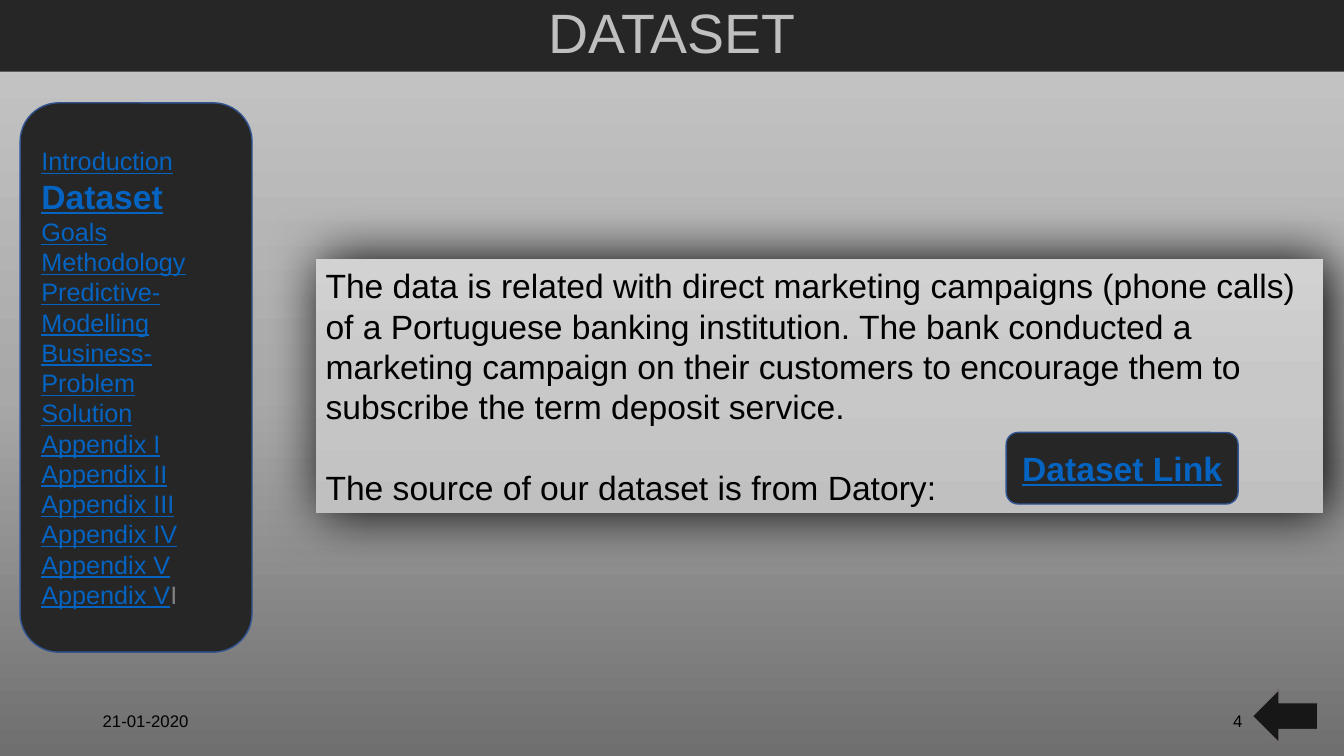
from copy import deepcopy

from lxml import etree
from pptx import Presentation
from pptx.dml.color import RGBColor
from pptx.enum.shapes import MSO_SHAPE
from pptx.enum.text import MSO_ANCHOR, PP_ALIGN
from pptx.oxml.ns import qn
from pptx.util import Inches, Pt

RECT, ROUND = MSO_SHAPE.RECTANGLE, MSO_SHAPE.ROUNDED_RECTANGLE
PANEL, ARROW = MSO_SHAPE.FLOWCHART_ALTERNATE_PROCESS, MSO_SHAPE.LEFT_ARROW
MIDDLE = MSO_ANCHOR.MIDDLE
LEFT, CENTER, RIGHT = PP_ALIGN.LEFT, PP_ALIGN.CENTER, PP_ALIGN.RIGHT

COLORS = {
    "dark": "262626", "title": "BFBFBF", "black": "000000", "link": "0563C1",
    "muted": "808080", "edge": "325491", "arrow": "181717", "rim": "767171",
}
PAGE_STOPS = [(0, "6F6F6F"), (0.48, "A8A8A8"), (1, "C9C9C9")]
BOX_STOPS = [(0, "D2D2D2"), (0.5, "C8C8C8"), (1, "C0C0C0")]

LINK = {"size": Pt(18), "color": "link", "underline": True}
BOLD = {**LINK, "size": Pt(24), "bold": True}
BODY = {"size": Pt(24), "color": "black"}
SMALL = {"size": Pt(12), "color": "black"}

MENU = ["Introduction", "Dataset", "Goals", "Methodology",
        "Predictive-Modelling", "Business-Problem", "Solution",
        "Appendix I", "Appendix II", "Appendix III", "Appendix IV",
        "Appendix V"]
ABOUT = ("The data is related with direct marketing campaigns (phone calls) "
         "of a Portuguese banking institution. The bank conducted a marketing "
         "campaign on their customers to encourage them to subscribe the term "
         "deposit service.")
SOURCE = "The source of our dataset is from Datory:"


def rgb(name):
    return RGBColor.from_string(COLORS[name])


def add_grad(fill, owner, stops, angle):
    """Fill with a three-stop gradient, angle counted anticlockwise."""
    fill.gradient()
    fill.gradient_angle = angle
    items = owner.find(".//" + qn("a:gsLst"))
    items.append(deepcopy(items[0]))
    for stop, (place, color) in zip(fill.gradient_stops, stops):
        stop.position = place
        stop.color.rgb = RGBColor.from_string(color)


def add_glow(shape, blur, dist):
    """Add a soft black outer shadow."""
    effects = shape.element.spPr.find(qn("a:effectLst"))
    shadow = etree.SubElement(effects, qn("a:outerShdw"), blurRad=str(Pt(blur)),
                              dist=str(Pt(dist)), dir="0", algn="ctr", rotWithShape="0")
    etree.SubElement(shadow, qn("a:srgbClr"), val=COLORS["black"])


def add_block(slide, kind, box, fill=None, line=None):
    shape = slide.shapes.add_shape(kind, *map(Inches, box))
    shape.shadow.inherit = False
    if fill:
        shape.fill.solid()
        shape.fill.fore_color.rgb = rgb(fill)
    if line:
        shape.line.color.rgb = rgb(line)
        shape.line.width = Pt(1)
    else:
        shape.line.fill.background()
    return shape


def add_run(para, text, style):
    run = para.add_run()
    run.text = text
    run.font.name = "Arial"
    for key, value in style.items():
        if key == "color":
            run.font.color.rgb = rgb(value)
        else:
            setattr(run.font, key, value)


def put_text(shape, paras, align=LEFT, pitch=1.2):
    """Write paragraphs, each a list of (text, style) runs."""
    frame = shape.text_frame
    frame.word_wrap = True
    frame.vertical_anchor = MIDDLE
    for i, runs in enumerate(paras):
        para = frame.add_paragraph() if i else frame.paragraphs[0]
        para.alignment = align
        para.line_spacing = Pt(runs[0][1]["size"].pt * pitch)
        for text, style in runs:
            add_run(para, text, style)


def add_note(slide, box, text, align):
    note = slide.shapes.add_textbox(*map(Inches, box))
    put_text(note, [[(text, SMALL)]], align)


def main():
    deck = Presentation()
    deck.slide_width, deck.slide_height = Inches(13.33), Inches(7.5)
    slide = deck.slides.add_slide(deck.slide_layouts[6])
    add_grad(slide.background.fill, slide.element, PAGE_STOPS, 90)

    # Title bar
    bar = add_block(slide, RECT, (0, 0, 13.33, 0.71), "dark")
    put_text(bar, [[("DATASET", {"size": Pt(39.6), "color": "title"})]], CENTER, 1.04)

    # Footer
    add_note(slide, (0.92, 6.95, 3, 0.4), "21-01-2020", LEFT)
    add_note(slide, (9.42, 6.95, 3, 0.4), "4", RIGHT)

    # Description, with a gap of one line between the paragraphs
    about = add_block(slide, RECT, (3.13, 2.57, 9.99, 2.52))
    add_grad(about.fill, about.element, BOX_STOPS, 270)
    add_glow(about, 40, 5)
    put_text(about, [[(ABOUT, BODY)], [(SOURCE, BODY)]])
    about.text_frame.paragraphs[1].space_before = Pt(28.8)

    # Side menu
    menu = add_block(slide, PANEL, (0.2, 1.02, 2.3, 5.45), "dark", "edge")
    rows = [[(name, BOLD if name == "Dataset" else LINK)] for name in MENU]
    rows.append([("Appendix V", LINK), ("I", {"size": Pt(18), "color": "muted"})])
    put_text(menu, rows)

    # Back arrow and link button
    add_block(slide, ARROW, (12.42, 6.84, 0.65, 0.53), "arrow", "rim")
    button = add_block(slide, ROUND, (9.98, 4.29, 2.3, 0.71), "dark", "edge")
    put_text(button, [[("Dataset Link", BOLD)]], CENTER)

    deck.save("out.pptx")


if __name__ == "__main__":
    main()
